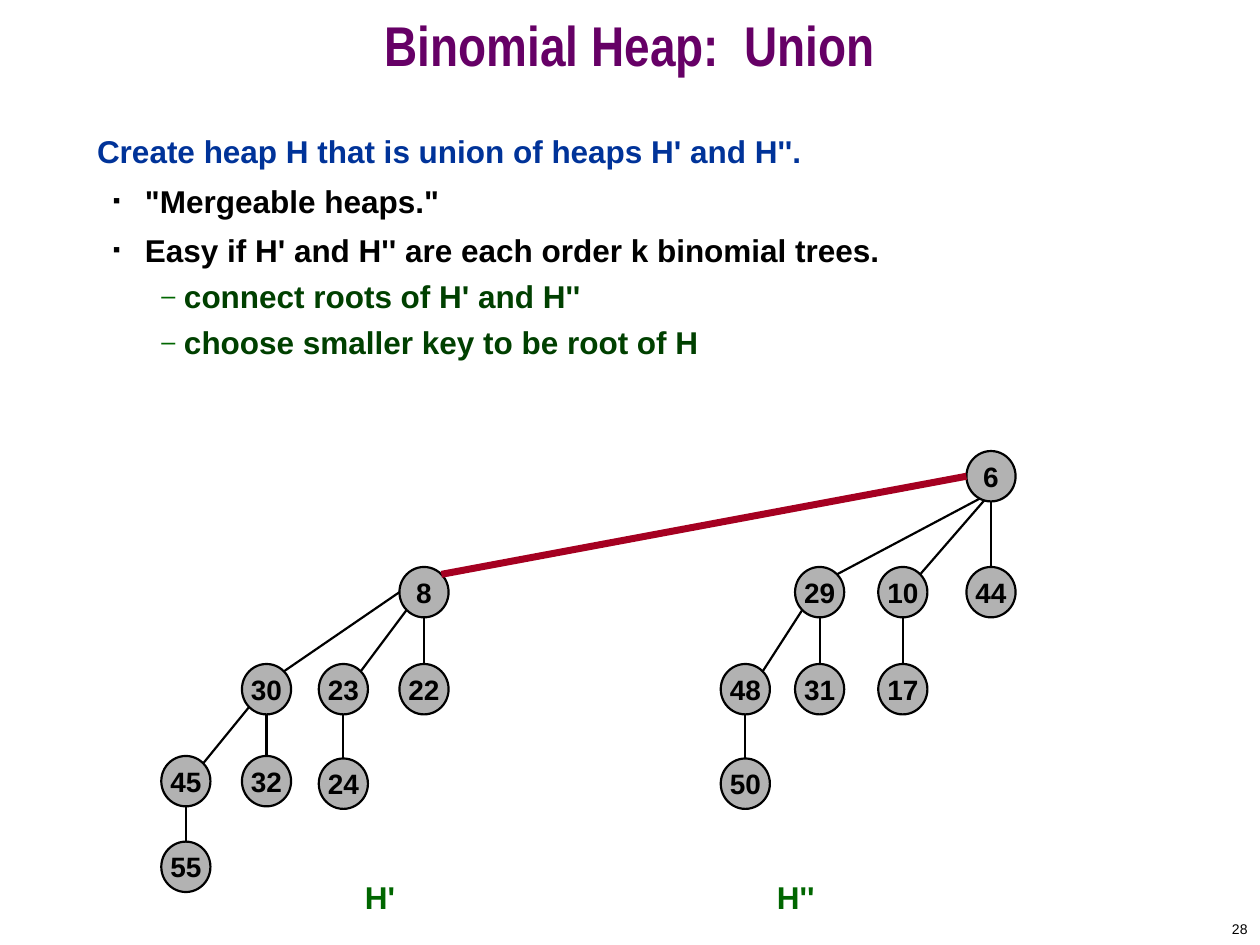
from dataclasses import dataclass
from math import sqrt

from lxml import etree
from pptx import Presentation
from pptx.dml.color import RGBColor
from pptx.enum.shapes import MSO_CONNECTOR, MSO_SHAPE
from pptx.enum.text import MSO_ANCHOR, MSO_AUTO_SIZE, PP_ALIGN
from pptx.oxml.ns import qn
from pptx.util import Inches, Pt

OVAL, STRAIGHT = MSO_SHAPE.OVAL, MSO_CONNECTOR.STRAIGHT
TOP_ANCHOR, MIDDLE = MSO_ANCHOR.TOP, MSO_ANCHOR.MIDDLE
NO_FIT = MSO_AUTO_SIZE.NONE
LEFT_ALIGN, CENTER, RIGHT_ALIGN = PP_ALIGN.LEFT, PP_ALIGN.CENTER, PP_ALIGN.RIGHT


@dataclass(frozen=True)
class Theme:
    font: str = "Arial"
    title_font: str = "Arial Narrow"
    title: str = "660066"
    lead: str = "003399"
    ink: str = "000000"
    detail: str = "004000"
    accent: str = "006600"
    node: str = "B2B2B2"
    link: str = "A50021"
    title_size: int = 32
    body_size: int = 18
    node_size: int = 16
    page_size: int = 8
    edge_width: float = 1.25
    link_width: float = 4


@dataclass(frozen=True)
class Level:
    """Look of one outline level; indents are in inches, bullet size in percent."""
    color: str
    indent: float = 0
    hanging: float = 0
    line_spacing: float = 1.0
    bullet: str = ""
    bullet_color: str = ""
    bullet_size: int = 100


THEME = Theme()
LEVELS = (
    Level(THEME.lead),
    Level(THEME.ink, 0.38, 0.25, 1.1, "■", THEME.ink, 35),
    Level(THEME.detail, 0.69, 0.18, 1.0, "–", THEME.accent, 80),
)
OUTLINE = (
    (0, "Create heap H that is union of heaps H' and H''."),
    (1, "\"Mergeable heaps.\""),
    (1, "Easy if H' and H'' are each order k binomial trees."),
    (2, "connect roots of H' and H''"),
    (2, "choose smaller key to be root of H"),
)

# Points on a node, as shares of its half width and half height
D = 1 / sqrt(2)
TOP, BOTTOM, LEFT = (0, -1), (0, 1), (-1, 0)
TOP_RIGHT, BOTTOM_LEFT, INSIDE = (D, -D), (-D, D), (0, 0.65)

# Node centres on a grid of 100 columns by 75 rows
NODE_W, NODE_H = 3.9, 4
A, B, C, E = 14.75, 21.15, 27.25, 33.65
F, G, H, I = 59.15, 65.05, 71.65, 78.65
R0, R1, R2, R3, R4 = 37.8, 47, 54.7, 62, 68.8
NODES = {
    55: (A, R4), 45: (A, R3), 32: (B, R3), 30: (B, R2), 24: (C, R3 + 0.2),
    23: (C, R2), 22: (E, R2), 8: (E, R1),
    50: (F, R3 + 0.2), 48: (F, R2), 31: (G, R2), 29: (G, R1), 17: (H, R2),
    10: (H, R1), 44: (I, R1), 6: (I, R0),
}
UPRIGHT = ((55, 45), (32, 30), (24, 23), (22, 8), (50, 48), (31, 29), (17, 10), (44, 6))
SLANTED = ((45, 30, BOTTOM_LEFT), (23, 8, BOTTOM_LEFT), (30, 8, LEFT),
           (48, 29, BOTTOM_LEFT), (29, 6, INSIDE), (10, 6, INSIDE))


class Deck:
    def __init__(self, theme, columns=100, rows=75):
        self.theme = theme
        self.prs = Presentation()
        self.prs.slide_width, self.prs.slide_height = Inches(10), Inches(7.5)
        self.col = self.prs.slide_width / columns
        self.row = self.prs.slide_height / rows
        self.s = self.prs.slides.add_slide(self.prs.slide_layouts[1])

    def box(self, x, y, w, h):
        """Turn grid units into lengths."""
        return (round(x * self.col), round(y * self.row),
                round(w * self.col), round(h * self.row))

    def place(self, sp, *box):
        sp.left, sp.top, sp.width, sp.height = self.box(*box)

    def frame(self, sp, anchor, wrap=True):
        tf = sp.text_frame
        tf.auto_size = NO_FIT
        tf.word_wrap = wrap
        tf.vertical_anchor = anchor
        return tf

    def add_text(self, p, text, size, color, align=LEFT_ALIGN, bold=True, font=None):
        p.alignment = align
        r = p.add_run()
        r.text = text
        r.font.name = font or self.theme.font
        r.font.size = Pt(size)
        r.font.bold = bold
        r.font.color.rgb = RGBColor.from_string(color)

    def title(self, text):
        sp = self.s.shapes.title
        self.place(sp, 0, 0, 100, 8.3)
        p = self.frame(sp, MIDDLE).paragraphs[0]
        p.line_spacing = 0.7
        t = self.theme
        self.add_text(p, text, t.title_size, t.title, CENTER, font=t.title_font)

    def bullet(self, p, level):
        """Set the indent and bullet of a paragraph."""
        pPr = p._p.get_or_add_pPr()
        pPr.set("marL", str(Inches(level.indent)))
        pPr.set("indent", str(-Inches(level.hanging)))
        if not level.bullet:
            etree.SubElement(pPr, qn("a:buNone"))
            return
        color = etree.SubElement(pPr, qn("a:buClr"))
        etree.SubElement(color, qn("a:srgbClr"), val=level.bullet_color)
        etree.SubElement(pPr, qn("a:buSzPct"), val=str(level.bullet_size * 1000))
        etree.SubElement(pPr, qn("a:buFont"), typeface=self.theme.font)
        etree.SubElement(pPr, qn("a:buChar"), char=level.bullet)

    def outline(self, items):
        sp = self.s.placeholders[1]
        self.place(sp, 6.7, 10, 85.8, 59.2)
        tf = self.frame(sp, TOP_ANCHOR)
        for i, (depth, text) in enumerate(items):
            p = tf.add_paragraph() if i else tf.paragraphs[0]
            level = LEVELS[depth]
            p.level = depth
            self.bullet(p, level)
            p.line_spacing = level.line_spacing
            p.space_before = Pt(4.5 if i else 0)
            self.add_text(p, text, self.theme.body_size, level.color)

    def label(self, text, box, size, color, align=CENTER, bold=True, anchor=TOP_ANCHOR):
        sp = self.s.shapes.add_textbox(*self.box(*box))
        p = self.frame(sp, anchor).paragraphs[0]
        self.add_text(p, text, size, color, align, bold)

    def node(self, key):
        x, y = NODES[key]
        box = self.box(x - NODE_W / 2, y - NODE_H / 2, NODE_W, NODE_H)
        sp = self.s.shapes.add_shape(OVAL, *box)
        sp.shadow.inherit = False
        sp.fill.solid()
        sp.fill.fore_color.rgb = RGBColor.from_string(self.theme.node)
        sp.line.color.rgb = RGBColor.from_string(self.theme.ink)
        sp.line.width = Pt(self.theme.edge_width)
        p = self.frame(sp, MIDDLE, wrap=False).paragraphs[0]
        self.add_text(p, str(key), self.theme.node_size, self.theme.ink, CENTER)

    def edge(self, start, start_at, end, end_at, color, width):
        """Draw a line between points on two nodes."""
        (x1, y1), (x2, y2) = (
            (NODES[key][0] + dx * NODE_W / 2, NODES[key][1] + dy * NODE_H / 2)
            for key, (dx, dy) in ((start, start_at), (end, end_at)))
        line = self.s.shapes.add_connector(STRAIGHT, *self.box(x1, y1, x2, y2))
        line.line.color.rgb = RGBColor.from_string(color)
        line.line.width = Pt(width)
        etree.SubElement(line._element.spPr, qn("a:effectLst"))


def main():
    deck, t = Deck(THEME), THEME
    deck.title("Binomial Heap:  Union")
    deck.outline(OUTLINE)
    for child, parent in UPRIGHT:
        deck.edge(child, TOP, parent, BOTTOM, t.ink, t.edge_width)
    for child, parent, parent_at in SLANTED:
        deck.edge(child, TOP_RIGHT, parent, parent_at, t.ink, t.edge_width)
    for key in NODES:
        deck.node(key)
    deck.edge(6, LEFT, 8, TOP_RIGHT, t.link, t.link_width)
    for name, x in (("H'", 26.7), ("H''", 59.7)):
        deck.label(name, (x, 69.2, 6.9, 4), t.body_size, t.accent)
    deck.label("28", (79.2, 72.5, 20.8, 2.5), t.page_size, t.ink,
               RIGHT_ALIGN, bold=False, anchor=MIDDLE)
    deck.prs.save("out.pptx")


if __name__ == "__main__":
    main()
